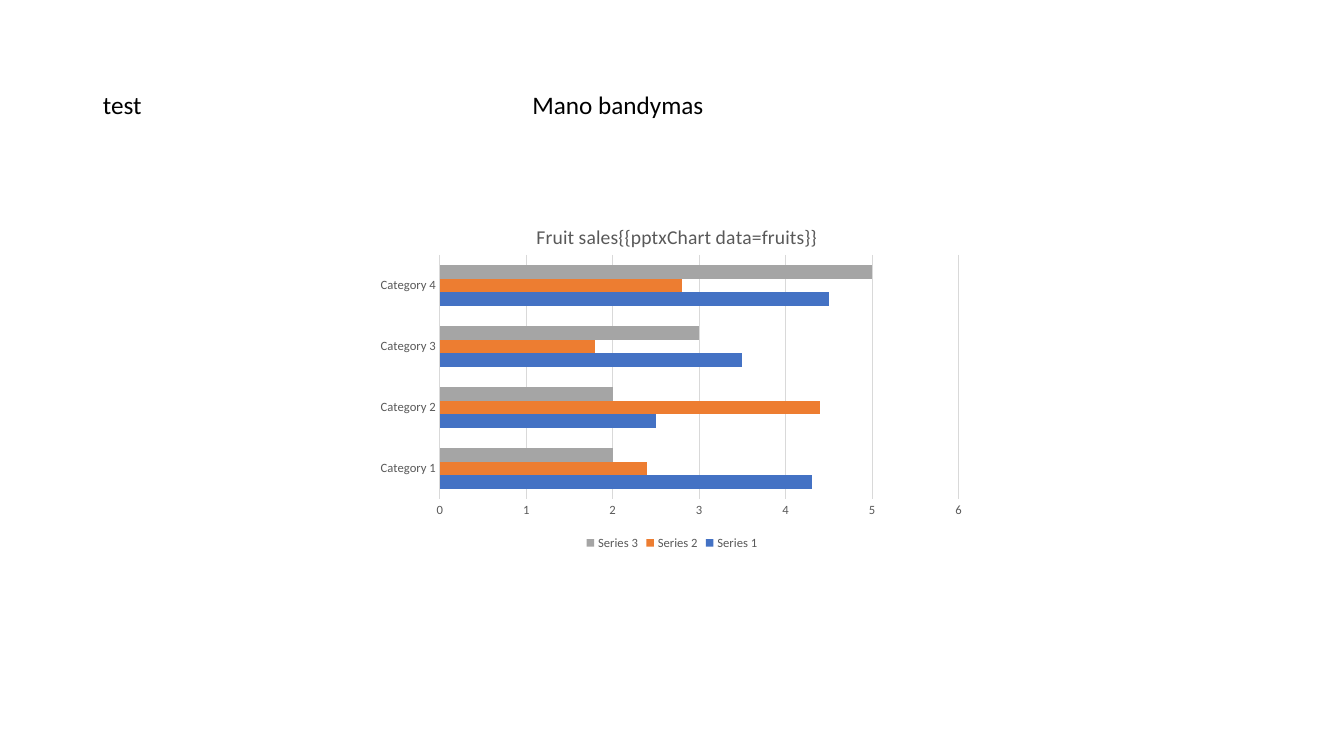
from lxml import etree
from pptx import Presentation
from pptx import util as u
from pptx.chart.data import CategoryChartData
from pptx.dml.color import RGBColor
from pptx.enum import chart as ch, text
from pptx.oxml import parse_xml
from pptx.oxml.ns import nsdecls, qn

BLACK = RGBColor(0x00, 0x00, 0x00)
GREY_TEXT = RGBColor(0x59, 0x59, 0x59)
GRID = RGBColor(0xD9, 0xD9, 0xD9)
BLUE = RGBColor(0x44, 0x72, 0xC4)
ORANGE = RGBColor(0xED, 0x7D, 0x31)
GREY = RGBColor(0xA5, 0xA5, 0xA5)

CATEGORIES = [f"Category {n}" for n in range(1, 5)]
SALES = [
    ("Series 1", (4.3, 2.5, 3.5, 4.5), BLUE),
    ("Series 2", (2.4, 4.4, 1.8, 2.8), ORANGE),
    ("Series 3", (2, 2, 3, 5), GREY),
]


def manual_layout(**places):
    """Build a c:layout from fractions of the chart's size."""
    target = '<c:layoutTarget val="inner"/>' if "w" in places else ""
    modes = "".join(f'<c:{axis}Mode val="edge"/>' for axis in "xy")
    values = "".join(f'<c:{key} val="{value}"/>' for key, value in places.items())
    return parse_xml(f'<c:layout {nsdecls("c")}><c:manualLayout>{target}{modes}{values}'
                     '</c:manualLayout></c:layout>')


class SlideBuilder:
    font_name = "Calibri"

    def __init__(self, slide):
        self.slide = slide

    def style_font(self, font, size, color):
        for key, value in dict(name=self.font_name, size=u.Pt(size), bold=False).items():
            setattr(font, key, value)
        font.color.rgb = color

    def label(self, wording, left, top, width, height, wrap):
        box = self.slide.shapes.add_textbox(*map(u.Pt, (left, top, width, height)))
        frame = box.text_frame
        frame.word_wrap = wrap
        frame.auto_size = text.MSO_AUTO_SIZE.SHAPE_TO_FIT_TEXT
        run = frame.paragraphs[0].add_run()
        run.text = wording
        self.style_font(run.font, 18, BLACK)

    def style_line(self, line):
        line.color.rgb = GRID
        line.width = u.Pt(0.75)

    def style_axis(self, axis):
        ticks = dict(major_tick_mark=ch.XL_TICK_MARK.NONE, minor_tick_mark=ch.XL_TICK_MARK.NONE)
        for key, value in ticks.items():
            setattr(axis, key, value)
        self.style_font(axis.tick_labels.font, 9, GREY_TEXT)

    def chart_title(self, chart, wording):
        frame = chart.chart_title.text_frame
        frame.text = wording
        self.style_font(frame.paragraphs[0].runs[0].font, 14, GREY_TEXT)
        chart.chart_title.include_in_layout = False
        title = chart.chart_title._element
        for old in title.findall(qn("c:layout")):
            title.remove(old)
        title.find(qn("c:tx")).addnext(manual_layout(x=0.27, y=0.05))

    def bar_chart(self, title, categories, series, left, top, width, height):
        data = CategoryChartData()
        data.categories = categories
        for name, values, _ in series:
            data.add_series(name, values)
        chart = self.slide.shapes.add_chart(
            ch.XL_CHART_TYPE.BAR_CLUSTERED, *map(u.Pt, (left, top, width, height)), data).chart
        self.style_font(chart.font, 10, BLACK)
        self.chart_title(chart, title)

        plot = chart.plots[0]
        for key, value in dict(gap_width=150, overlap=0, vary_by_categories=False).items():
            setattr(plot, key, value)
        for bars, (_, _, color) in zip(plot.series, series):
            bars.format.fill.solid()
            bars.format.fill.fore_color.rgb = color

        for axis in (chart.category_axis, chart.value_axis):
            self.style_axis(axis)
        self.style_line(chart.category_axis.format.line)
        chart.value_axis.format.line.fill.background()
        self.style_line(chart.value_axis.major_gridlines.format.line)

        chart.has_legend = True
        chart.legend.position = ch.XL_LEGEND_POSITION.BOTTOM
        chart.legend.include_in_layout = False
        self.style_font(chart.legend.font, 9, GREY_TEXT)

        area = chart._chartSpace.chart.plotArea
        for old in area.findall(qn("c:layout")):
            area.remove(old)
        area.insert(0, manual_layout(x=0.116, y=0.151, w=0.858, h=0.692))


def main():
    deck = Presentation()
    deck.slide_width, deck.slide_height = u.Pt(960), u.Pt(540)
    page = SlideBuilder(deck.slides.add_slide(deck.slide_layouts[6]))
    page.bar_chart("Fruit sales{{pptxChart data=fruits}}", CATEGORIES, SALES, 264, 144, 432, 252)
    page.label("Mano bandymas", 373.2, 60, 138, 29, wrap=False)
    page.label("test", 66.4, 60, 93, 29, wrap=True)
    deck.save("out.pptx")


if __name__ == "__main__":
    main()
